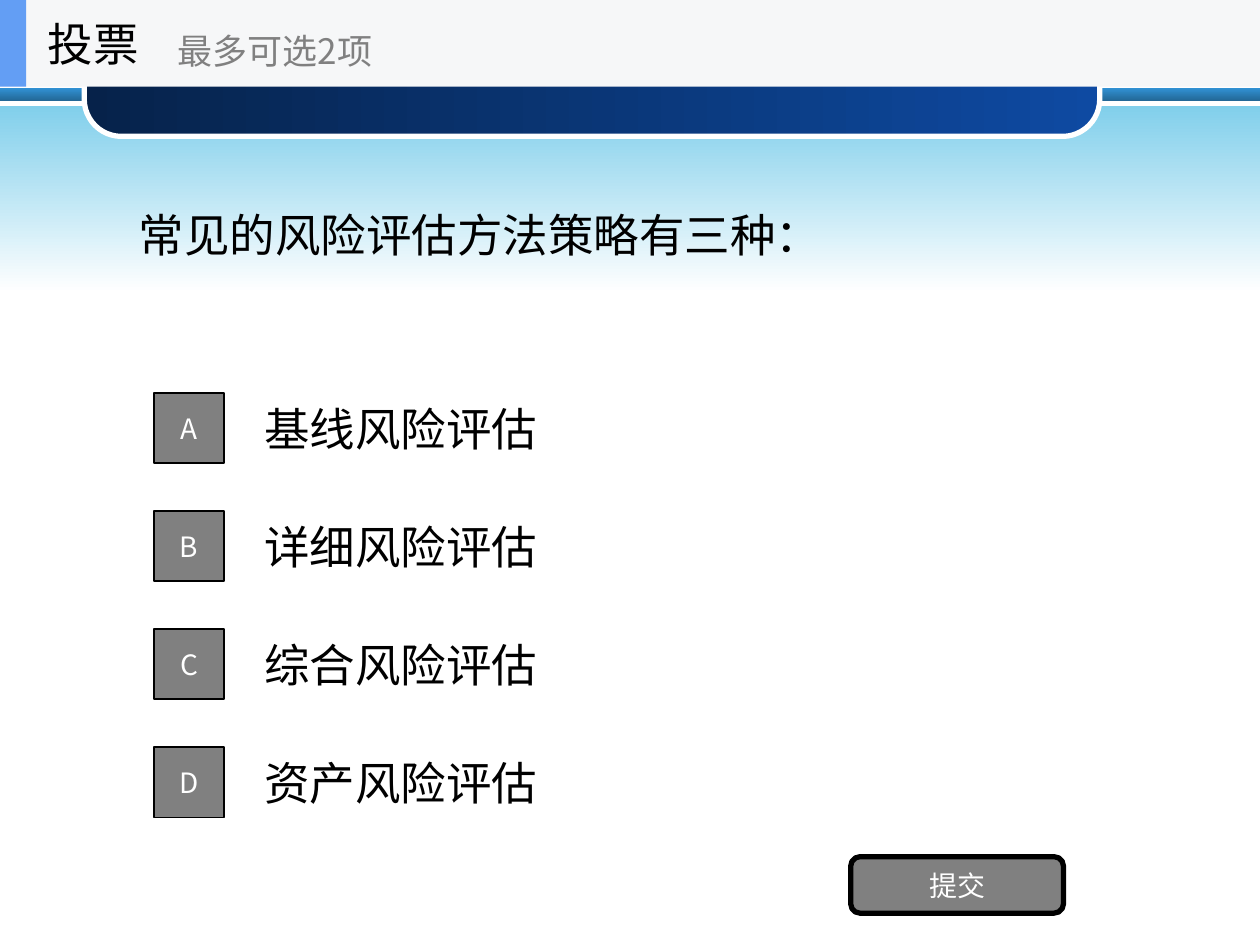
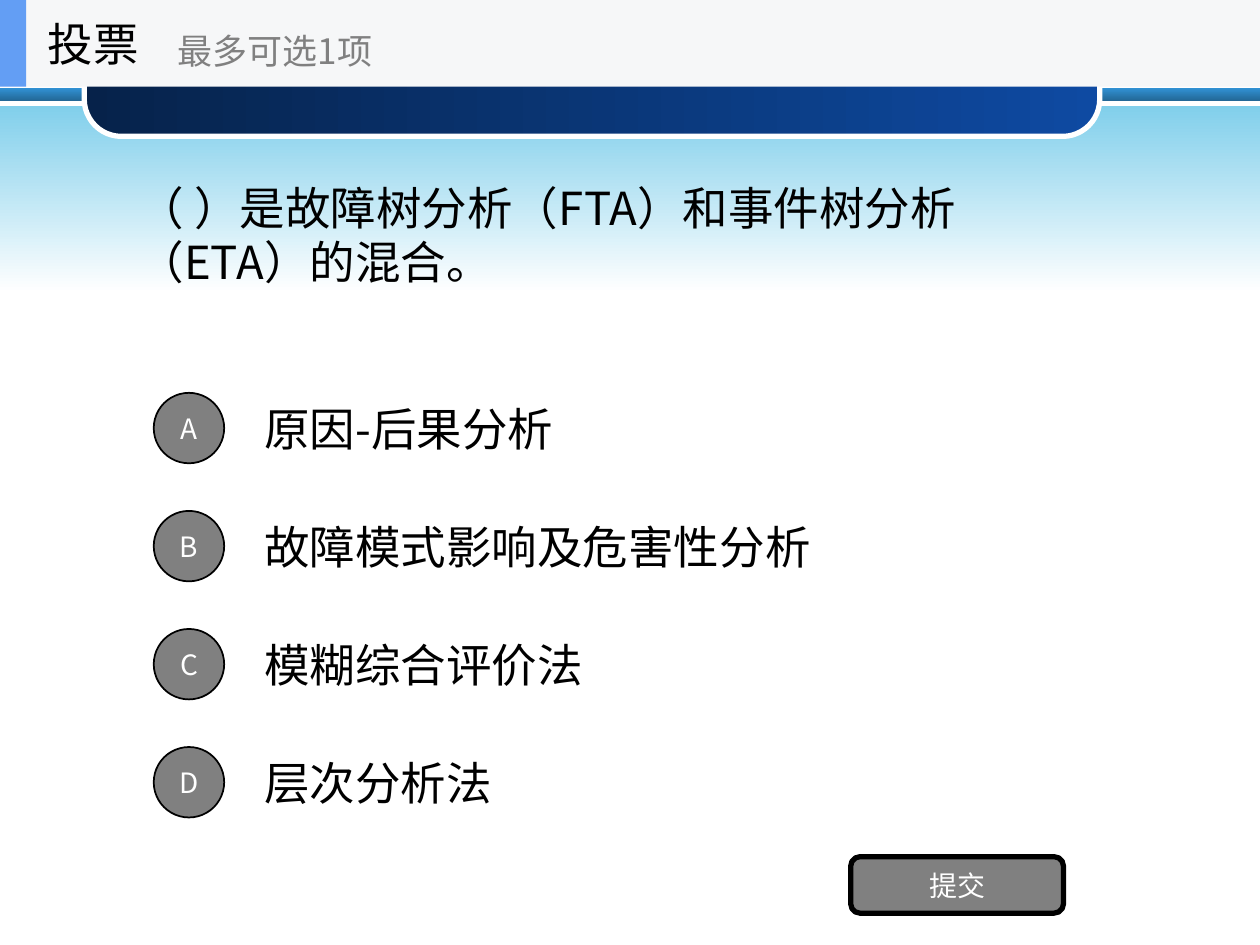
from dataclasses import dataclass

import pptx
import pptx.util
from lxml import etree
from pptx.dml.color import RGBColor
from pptx.enum.shapes import MSO_SHAPE
from pptx.enum.text import MSO_ANCHOR, MSO_AUTO_SIZE, PP_ALIGN
from pptx.oxml.ns import qn
from pptx.util import Cm

FONT = "Noto Sans CJK SC"
BLACK = RGBColor(0x00, 0x00, 0x00)
WHITE = RGBColor(0xFF, 0xFF, 0xFF)
GRAY = RGBColor(0x80, 0x80, 0x80)
HEADER_GRAY = RGBColor(0xF6, 0xF7, 0xF8)
HEADER_BLUE = RGBColor(0x63, 0x9E, 0xF4)
BAND_TOP = RGBColor(0x31, 0x91, 0xD3)
BAND_BOTTOM = RGBColor(0x23, 0x68, 0x97)
SKY = RGBColor(0x81, 0xCF, 0xEB)
PANEL_LEFT = RGBColor(0x06, 0x22, 0x4A)
PANEL_RIGHT = RGBColor(0x0E, 0x4A, 0xA2)

WIDTH, HEIGHT = 25.4, 19.05
HEADER_HEIGHT = 1.75
OPTION_TOP, OPTION_PITCH, OPTION_HEIGHT = 7.74, 2.38, 1.78
BADGE_SIZE = 1.42
DOWNWARD = 270


@dataclass(frozen=True)
class Box:
    """A rectangle in centimetres."""
    left: float
    top: float
    width: float
    height: float

    def lengths(self) -> tuple:
        return Cm(self.left), Cm(self.top), Cm(self.width), Cm(self.height)


@dataclass(frozen=True)
class Poll:
    question: str
    options: tuple[str, ...]
    max_choices: int
    badge: MSO_SHAPE


POLLS = (
    Poll("常见的风险评估方法策略有三种：",
         ("基线风险评估", "详细风险评估", "综合风险评估", "资产风险评估"),
         2, MSO_SHAPE.RECTANGLE),
    Poll("（ ）是故障树分析（FTA）和事件树分析（ETA）的混合。",
         ("原因-后果分析", "故障模式影响及危害性分析", "模糊综合评价法", "层次分析法"),
         1, MSO_SHAPE.OVAL),
)


def write(sp, text: str, *, size: int = 26, color: RGBColor = BLACK,
          align: PP_ALIGN = PP_ALIGN.LEFT) -> None:
    tf = sp.text_frame
    tf.word_wrap = True
    tf.auto_size = MSO_AUTO_SIZE.NONE
    tf.vertical_anchor = MSO_ANCHOR.MIDDLE
    p = tf.paragraphs[0]
    p.alignment = align
    r = p.add_run()
    r.text = text
    r.font.size = pptx.util.Pt(size)
    r.font.name = FONT
    r.font.color.rgb = color
    east_asian = etree.SubElement(r.font._element, qn("a:ea"))
    east_asian.set("typeface", FONT)


def add_text(shapes, box: Box, text: str, **style) -> None:
    write(shapes.add_textbox(*box.lengths()), text, **style)


def add_shape(shapes, kind: MSO_SHAPE, box: Box, fill: RGBColor | None = None,
              line: RGBColor | None = None, line_width: float = 1):
    sp = shapes.add_shape(kind, *box.lengths())
    sp.shadow.inherit = False
    if fill is not None:
        sp.fill.solid()
        sp.fill.fore_color.rgb = fill
    if line is None:
        sp.line.fill.background()
    else:
        sp.line.color.rgb = line
        sp.line.width = pptx.util.Pt(line_width)
    return sp


def shade(sp, start: RGBColor, end: RGBColor, angle: int) -> None:
    """Fill a shape with a linear gradient of two colours."""
    sp.fill.gradient()
    sp.fill.gradient_angle = angle
    for stop, color, position in zip(sp.fill.gradient_stops, (start, end), (0, 1)):
        stop.color.rgb = color
        stop.position = position


def decorate_master(prs, s) -> None:
    """Draw the shared background on a slide and move it to the master."""
    band = add_shape(s.shapes, MSO_SHAPE.RECTANGLE, Box(0, 1.78, WIDTH, 0.25))
    shade(band, BAND_TOP, BAND_BOTTOM, DOWNWARD)
    sky = add_shape(s.shapes, MSO_SHAPE.RECTANGLE, Box(0, 2.13, WIDTH, 3.78))
    shade(sky, SKY, WHITE, DOWNWARD)
    panel = add_shape(s.shapes, MSO_SHAPE.ROUNDED_RECTANGLE,
                      Box(1.7, 0.97, 20.47, 1.78), line=WHITE, line_width=3)
    panel.adjustments[0] = 0.42
    shade(panel, PANEL_LEFT, PANEL_RIGHT, 0)
    for sp in (band, sky, panel):
        prs.slide_master.shapes.element.append(sp.element)


def add_header(s, max_choices: int) -> None:
    shapes = s.shapes.add_group_shape().shapes
    add_shape(shapes, MSO_SHAPE.RECTANGLE,
              Box(0, 0, WIDTH, HEADER_HEIGHT), HEADER_GRAY)
    add_shape(shapes, MSO_SHAPE.RECTANGLE,
              Box(0, 0, 0.53, HEADER_HEIGHT), HEADER_BLUE)
    add_text(shapes, Box(0.71, 0, 5.28, HEADER_HEIGHT), "投票")
    add_text(shapes, Box(3.33, 0.3, 6.35, 1.42), f"最多可选{max_choices}项",
             size=20, color=GRAY)


def add_options(s, poll: Poll) -> None:
    inset = (OPTION_HEIGHT - BADGE_SIZE) / 2
    for i, (letter, option) in enumerate(zip("ABCD", poll.options)):
        top = OPTION_TOP + i * OPTION_PITCH
        add_text(s.shapes, Box(5.08, top, 17.78, OPTION_HEIGHT), option)
        badge = add_shape(s.shapes, poll.badge,
                          Box(3.1, top + inset, BADGE_SIZE, BADGE_SIZE), GRAY, BLACK)
        write(badge, letter, size=16, color=WHITE, align=PP_ALIGN.CENTER)


def fill_poll(s, poll: Poll) -> None:
    title = s.shapes.title
    title.left, title.top, title.width, title.height = Box(
        2.54, HEADER_HEIGHT, 20.32, 5.94).lengths()
    write(title, poll.question)
    add_options(s, poll)
    button = add_shape(s.shapes, MSO_SHAPE.ROUNDED_RECTANGLE,
                       Box(17.15, 17.27, 4.29, 1.14), GRAY, BLACK, 3)
    write(button, "提交", size=16, color=WHITE, align=PP_ALIGN.CENTER)
    add_header(s, poll.max_choices)


def main() -> None:
    prs = pptx.Presentation()
    prs.slide_width, prs.slide_height = Cm(WIDTH), Cm(HEIGHT)
    title_only = prs.slide_layouts[5]
    slides = [prs.slides.add_slide(title_only) for _ in POLLS]
    decorate_master(prs, slides[0])
    for s, poll in zip(slides, POLLS):
        fill_poll(s, poll)
    prs.save("out.pptx")


if __name__ == "__main__":
    main()
